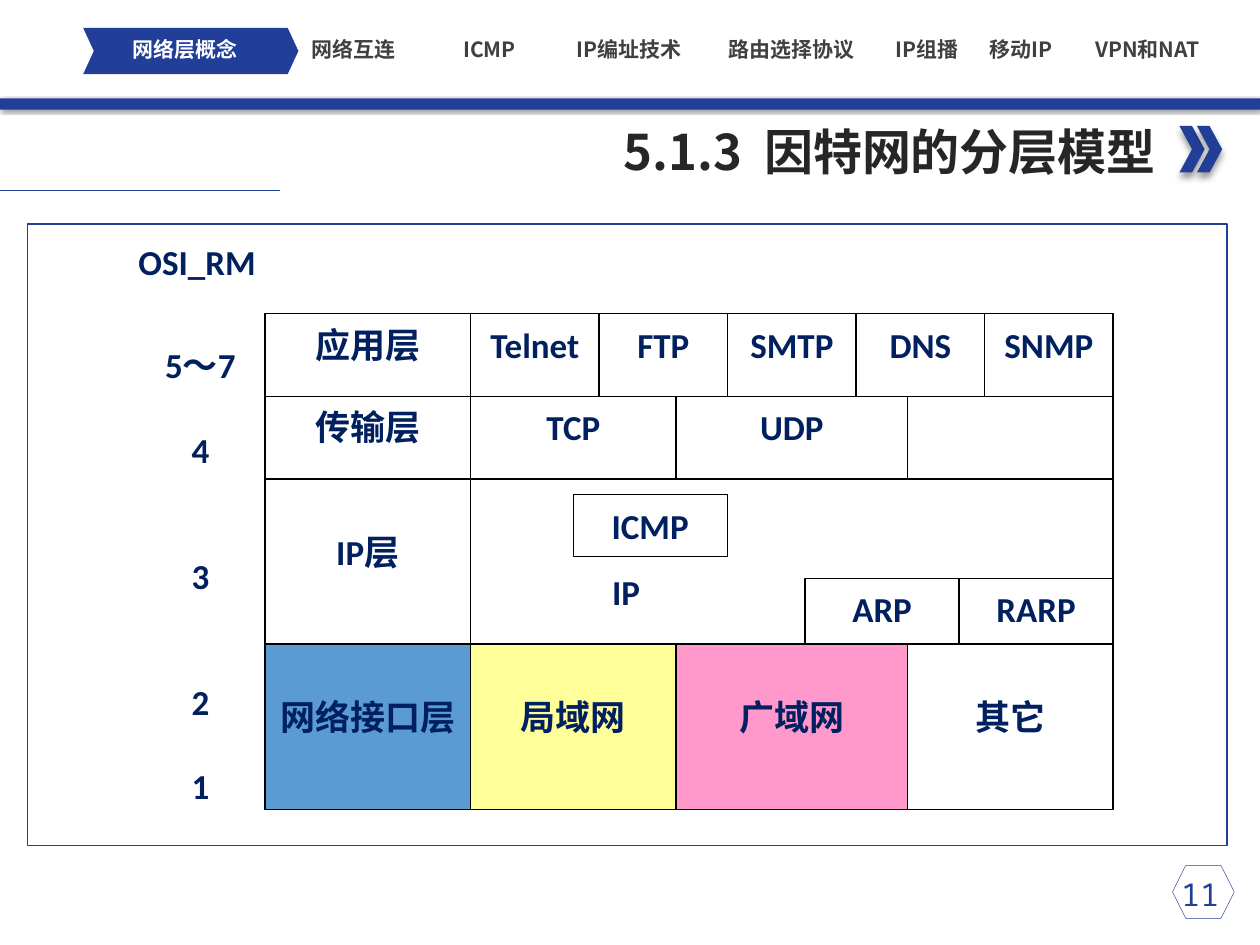
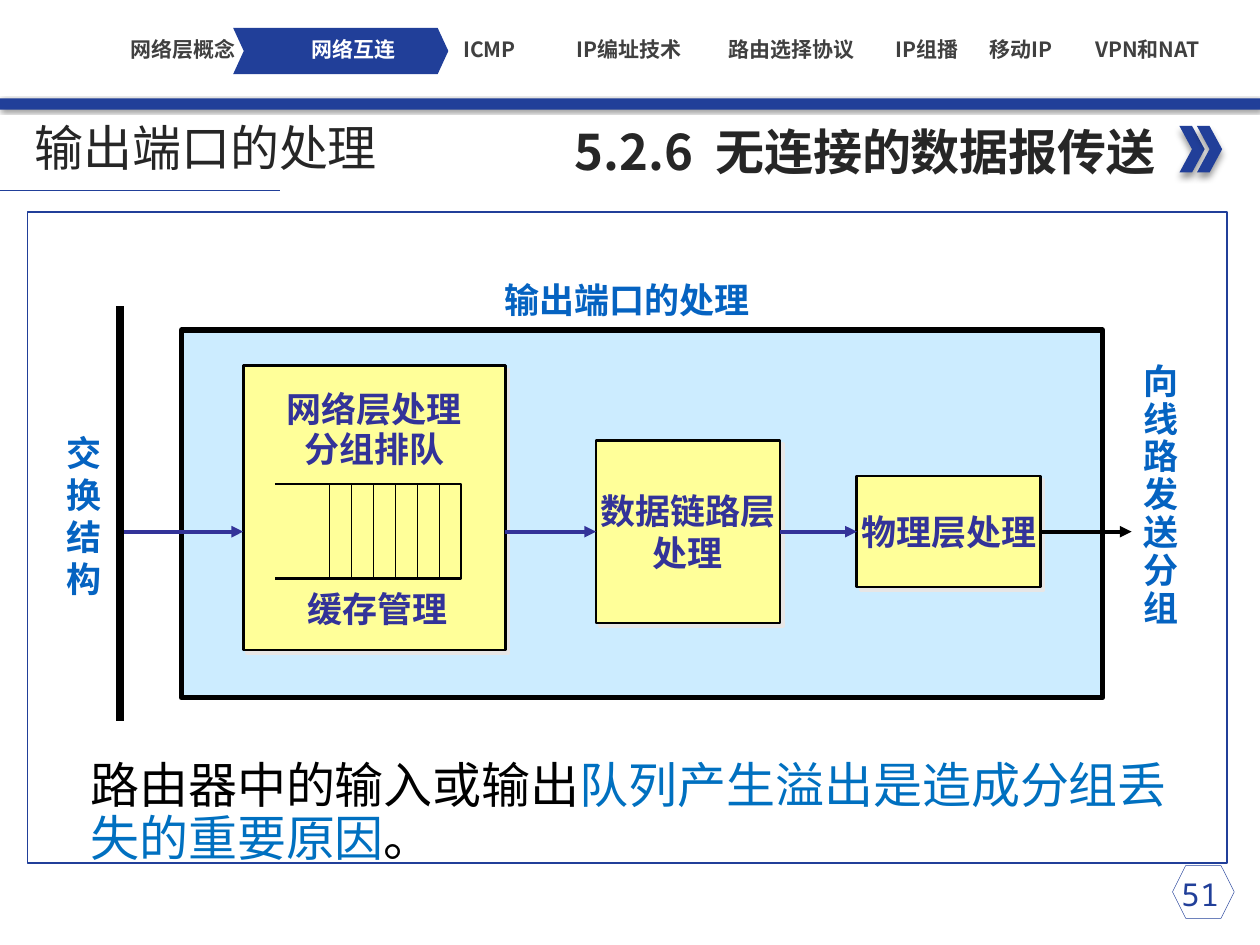
import dataclasses
import itertools
import typing

import lxml.etree
import pptx
import pptx.dml.color
import pptx.enum.shapes
import pptx.enum.text
import pptx.oxml.ns
import pptx.util

Pt = pptx.util.Pt
qn = pptx.oxml.ns.qn
Shapes = typing.Any
Shape = typing.Any
Preset = pptx.enum.shapes.MSO_SHAPE
Align = pptx.enum.text.PP_ALIGN
Anchor = pptx.enum.text.MSO_ANCHOR


@dataclasses.dataclass(frozen=True)
class Theme:
    brand: str = "213F99"
    title: str = "262626"
    nav: str = "404040"
    layer: str = "002060"
    stage: str = "333399"
    caption: str = "0563C1"
    highlight: str = "0070C0"
    black: str = "000000"
    white: str = "FFFFFF"
    blue: str = "5B9BD5"
    sky: str = "CCECFF"
    yellow: str = "FFFF99"
    pink: str = "FF99CC"
    glow: str = "E7E6E6"
    sans: str = "Noto Sans CJK SC"
    mono: str = "Noto Sans Mono"
    table: str = "Calibri"
    diagram: str = "Arial"
    heading_size: float = 28
    label_size: float = 20
    page_size: float = 18
    nav_size: float = 12


THEME = Theme()


class Area(typing.NamedTuple):
    left: float
    top: float
    width: float
    height: float


class Shadow(typing.NamedTuple):
    color: str
    opacity: int
    blur: float
    distance: float
    angle: int


class Run(typing.NamedTuple):
    text: str
    color: str | None = None
    spacing: float = 0


class NavItem(typing.NamedTuple):
    text: str
    center: float


class Cell(typing.NamedTuple):
    text: str
    area: Area
    fill: str = THEME.white
    drop: float = 0


class Page(typing.NamedTuple):
    number: str
    section: str
    title: str
    active: int
    marker_left: float
    frame: Area


BAND_SHADOW = Shadow(THEME.black, 40, 2, 1, 45)
MARK_SHADOW = Shadow(THEME.black, 40, 4, 3, 90)
STAGE_SHADOW = Shadow(THEME.glow, 100, 0, 2.8, 45)
NAV = [
    NavItem("网络层概念", 104.4),
    NavItem("网络互连", 202),
    NavItem("ICMP", 279.7),
    NavItem("IP编址技术", 359.6),
    NavItem("路由选择协议", 452.5),
    NavItem("IP组播", 529.6),
    NavItem("移动IP", 583.6),
    NavItem("VPN和NAT", 655.6),
]
LABEL_STYLE = dict(font=THEME.table, color=THEME.layer, bold=True, align=Align.CENTER)
STAGE_STYLE = dict(font=THEME.diagram, color=THEME.stage, bold=True, align=Align.CENTER)
CAPTION_STYLE = STAGE_STYLE | dict(color=THEME.caption)


def rgb(color: str) -> pptx.dml.color.RGBColor:
    return pptx.dml.color.RGBColor.from_string(color)


def set_shadow(shape: Shape, shadow: Shadow) -> None:
    effects = shape._element.spPr.find(qn("a:effectLst"))
    outer = lxml.etree.SubElement(
        effects, qn("a:outerShdw"), blurRad=str(Pt(shadow.blur)),
        dist=str(Pt(shadow.distance)), dir=str(shadow.angle * 60000),
        algn="ctr", rotWithShape="0")
    color = lxml.etree.SubElement(outer, qn("a:srgbClr"), val=shadow.color)
    lxml.etree.SubElement(color, qn("a:alpha"), val=str(shadow.opacity * 1000))


def paint(shape: Shape, fill: str | None, line: str | None, weight: float) -> None:
    shape.shadow.inherit = False
    if fill:
        shape.fill.solid()
        shape.fill.fore_color.rgb = rgb(fill)
    else:
        shape.fill.background()
    if line:
        shape.line.color.rgb = rgb(line)
        shape.line.width = Pt(weight)
    else:
        shape.line.fill.background()


def draw_shape(shapes: Shapes, area: Area, *, preset: Preset = Preset.RECTANGLE,
               fill: str | None = None, line: str | None = None, weight: float = 0.75,
               shadow: Shadow | None = None) -> Shape:
    shape = shapes.add_shape(preset, *map(Pt, area))
    paint(shape, fill, line, weight)
    if shadow:
        set_shadow(shape, shadow)
    return shape


def draw_line(shapes: Shapes, start: tuple[float, float], end: tuple[float, float], *,
              color: str = THEME.black, weight: float = 0.75, arrow: bool = False,
              source: Shape | None = None, target: Shape | None = None) -> None:
    connector = shapes.add_connector(
        pptx.enum.shapes.MSO_CONNECTOR.STRAIGHT, *map(Pt, start + end))
    if source:
        connector.begin_connect(source, 3)
    if target:
        connector.end_connect(target, 1)
    connector.line.color.rgb = rgb(color)
    connector.line.width = Pt(weight)
    if arrow:
        lxml.etree.SubElement(connector.line._get_or_add_ln(), qn("a:tailEnd"), type="triangle")
    lxml.etree.SubElement(connector._element.spPr, qn("a:effectLst"))


def write(shape: Shape, text: str | list[Run], *, size: float = THEME.label_size,
          font: str = THEME.sans, color: str = THEME.black, bold: bool = False,
          align: Align = Align.LEFT, anchor: Anchor = Anchor.TOP, leading: float = 1.2,
          side: float = 7.2, drop: float = 0, gaps: tuple[float, ...] = ()) -> None:
    frame = shape.text_frame
    frame.word_wrap = True
    frame.vertical_anchor = anchor
    frame.margin_left = frame.margin_right = Pt(side)
    frame.margin_top = Pt(3.6 + 0.09 * size + drop if anchor == Anchor.TOP else 0)
    frame.margin_bottom = Pt(0)
    lines = [[Run(line)] for line in text.split("\n")] if isinstance(text, str) else [text]
    for index, (line, gap) in enumerate(itertools.zip_longest(lines, (0, *gaps)[:len(lines)])):
        paragraph = frame.add_paragraph() if index else frame.paragraphs[0]
        paragraph.alignment = align
        paragraph.line_spacing = Pt(size * leading)
        if gap:
            paragraph.space_before = Pt(gap)
        for part in line:
            run = paragraph.add_run()
            run.text = part.text
            run.font.size = Pt(size)
            run.font.bold = bold
            run.font.name = font
            run.font.color.rgb = rgb(part.color or color)
            properties = run._r.get_or_add_rPr()
            lxml.etree.SubElement(properties, qn("a:ea"), typeface=THEME.sans)
            if part.spacing:
                properties.set("spc", str(round(part.spacing * 100)))


def draw_text(shapes: Shapes, area: Area, text: str | list[Run], **style: typing.Any) -> None:
    write(shapes.add_textbox(*map(Pt, area)), text, **style)


def draw_navigation(shapes: Shapes, page: Page) -> None:
    marker = draw_shape(shapes, Area(page.marker_left, 15.9, 123, 26.5),
                        preset=Preset.CHEVRON, fill=THEME.brand)
    marker.adjustments[0] = 0.23
    for index, item in enumerate(NAV):
        color = THEME.white if index == page.active else THEME.nav
        center = item.center + (1.6 if index == page.active == 0 else 0)
        draw_text(shapes, Area(center - 52.2, 21, 104.4, 14.4), item.text, color=color,
                  size=THEME.nav_size, bold=True, align=Align.CENTER, anchor=Anchor.MIDDLE, side=0)


def start_slide(presentation: typing.Any, page: Page) -> Shapes:
    shapes = presentation.slides.add_slide(presentation.slide_layouts[6]).shapes
    draw_shape(shapes, Area(0, 56.2, 720, 6.5), fill=THEME.brand, shadow=BAND_SHADOW)
    marks = shapes.add_group_shape().shapes
    for left in (674, 684):
        draw_shape(marks, Area(left, 72, 14.4, 26.6), preset=Preset.CHEVRON,
                   fill=THEME.brand, shadow=MARK_SHADOW)
    draw_text(shapes, Area(54.7, 63.4, 612.7, 41), 
              [Run(page.section), Run(" ", spacing=6.2), Run(page.title)],
              size=THEME.heading_size, color=THEME.title, bold=True, align=Align.RIGHT)
    draw_line(shapes, (0, 108.7), (159.8, 108.7), color=THEME.brand, weight=0.5)
    draw_shape(shapes, Area(670, 494.6, 35.3, 30.2), preset=Preset.HEXAGON,
               line=THEME.brand, weight=0.25)
    draw_text(shapes, Area(654.5, 494.6, 62.6, 28.8), page.number, size=THEME.page_size,
              font=THEME.mono, color=THEME.brand, align=Align.CENTER)
    draw_shape(shapes, page.frame, line=THEME.brand, weight=1)
    draw_navigation(shapes, page)
    return shapes


def row_cells(texts: list[str], widths: list[float], left: float, top: float, height: float,
              fills: list[str] | None = None, drop: float = 0) -> list[Cell]:
    lefts = itertools.accumulate(widths, initial=left)
    fills = fills or [THEME.white] * len(texts)
    return [Cell(text, Area(x, top, width, height), fill, drop)
            for text, x, width, fill in zip(texts, lefts, widths, fills)]


def build_layer_model(presentation: typing.Any) -> None:
    page = Page("11", "5.1.3", "因特网的分层模型", 0, 47.5, Area(15.8, 128.2, 685.4, 355))
    shapes = start_slide(presentation, page)
    left, top, row, layer, wide = 151.4, 179.3, 47.2, 117.5, 132.2
    total = 2 * layer + wide
    bottom = top + 4 * row
    networks = [layer, layer, wide, layer]
    low = 37.6
    cells = [
        *row_cells(["应用层", "Telnet", "FTP", "SMTP", "DNS", "SNMP"],
                   [layer] + [total / 5] * 5, left, top, row),
        *row_cells(["传输层", "TCP", "UDP", ""], networks, left, top + row, row),
        *row_cells(["IP层", ""], [layer, total], left, top + 2 * row, 2 * row, drop=24),
        *row_cells(["网络接口层", "局域网", "广域网", "其它"], networks, left, bottom, 2 * row,
                   [THEME.blue, THEME.yellow, THEME.pink, THEME.white], drop=24),
        *row_cells(["ARP", "RARP"], [88, 88], left + layer + total - 176, bottom - low, low),
        Cell("ICMP", Area(327.6, 282.6, 88, 35.4)),
    ]
    for cell in cells:
        shape = draw_shape(shapes, cell.area, fill=cell.fill, line=THEME.black)
        if cell.text:
            write(shape, cell.text, drop=cell.drop, **LABEL_STYLE)
    draw_text(shapes, Area(342.7, 320.4, 88, 46), "IP", **LABEL_STYLE | dict(align=Align.LEFT))
    draw_text(shapes, Area(54, 131.8, 117.4, 46.8), "OSI_RM", **LABEL_STYLE)
    draw_text(shapes, Area(77.8, 190.8, 73.4, 270.7), "5～7\n4\n3\n2\n1",
              gaps=(24.5, 48, 48, 24), **LABEL_STYLE)


def draw_queue(shapes: Shapes) -> None:
    left, top, right, bottom = 157, 276.5, 263.5, 330.5
    builder = shapes.build_freeform(Pt(left), Pt(top), scale=1.0)
    corners = [(right, top), (right, bottom), (left, bottom)]
    builder.add_line_segments([(Pt(x), Pt(y)) for x, y in corners], close=False)
    paint(builder.convert_to_shape(), None, THEME.black, 1.5)
    for index in range(1, 7):
        x = right - 12.5 * index
        draw_line(shapes, (x, top), (x, bottom))


def build_output_port(presentation: typing.Any) -> None:
    page = Page("51", "5.2.6", "无连接的数据报传送", 1, 133.2, Area(15.8, 121, 685.4, 372.2))
    shapes = start_slide(presentation, page)
    axis, bus = 303.8, 68.4
    draw_text(shapes, Area(12.6, 66.2, 282.6, 35.3), "输出端口的处理",
              size=THEME.heading_size, color=THEME.title, anchor=Anchor.MIDDLE)
    draw_shape(shapes, Area(103.7, 188.6, 526.3, 210.2), fill=THEME.sky, line=THEME.black, weight=3)

    stage_areas = [
        ("", Area(139, 208.8, 149.8, 162.7)),
        ("数据链路层\n处理", Area(340.6, axis - 52.2, 105.1, 104.4)),
        ("物理层处理", Area(489.6, axis - 31.7, 105.1, 63.4)),
    ]
    stages = []
    for text, area in stage_areas:
        stage = draw_shape(shapes, area, fill=THEME.yellow, line=THEME.black, weight=1.5,
                           shadow=STAGE_SHADOW)
        if text:
            write(stage, text, anchor=Anchor.MIDDLE, side=0, **STAGE_STYLE)
        stages.append(stage)
    network, link, physical = stages

    arrow = dict(color=THEME.stage, weight=2.25, arrow=True)
    draw_line(shapes, (bus, axis), (139, axis), **arrow)
    draw_line(shapes, (288.8, axis), (340.6, axis), target=link, **arrow)
    draw_line(shapes, (445.7, axis), (489.6, axis), source=link, target=physical, **arrow)
    draw_line(shapes, (594.7, axis), (646.6, axis), source=physical,
              **arrow | dict(color=THEME.black))
    draw_line(shapes, (bus, 175), (bus, 411.8), weight=4.5)
    draw_queue(shapes)

    draw_text(shapes, Area(139, 217.4, 149.8, 53.3), "网络层处理\n分组排队", leading=1.14, **STAGE_STYLE)
    draw_text(shapes, Area(160, 330.5, 112, 31.7), "缓存管理", **STAGE_STYLE)
    draw_text(shapes, Area(275, 154, 166.3, 31), "输出端口的处理", **CAPTION_STYLE)
    draw_text(shapes, Area(30.6, 241.2, 34.6, 104.4), "\n".join("交换结构"), **CAPTION_STYLE)
    draw_text(shapes, Area(646, 202.3, 34.6, 159.8), "\n".join("向线路发送分组"), leading=1.08,
              **CAPTION_STYLE)
    draw_text(shapes, Area(44.6, 428.4, 635.8, 68.4),
              [Run("路由器中的输入或输出"),
               Run("队列产生溢出是造成分组丢失的重要原因", THEME.highlight), Run("。")],
              size=THEME.heading_size, leading=1.08)


def main() -> None:
    presentation = pptx.Presentation()
    presentation.slide_width = Pt(720)
    presentation.slide_height = Pt(540)
    build_layer_model(presentation)
    build_output_port(presentation)
    presentation.save("out.pptx")


if __name__ == "__main__":
    main()
